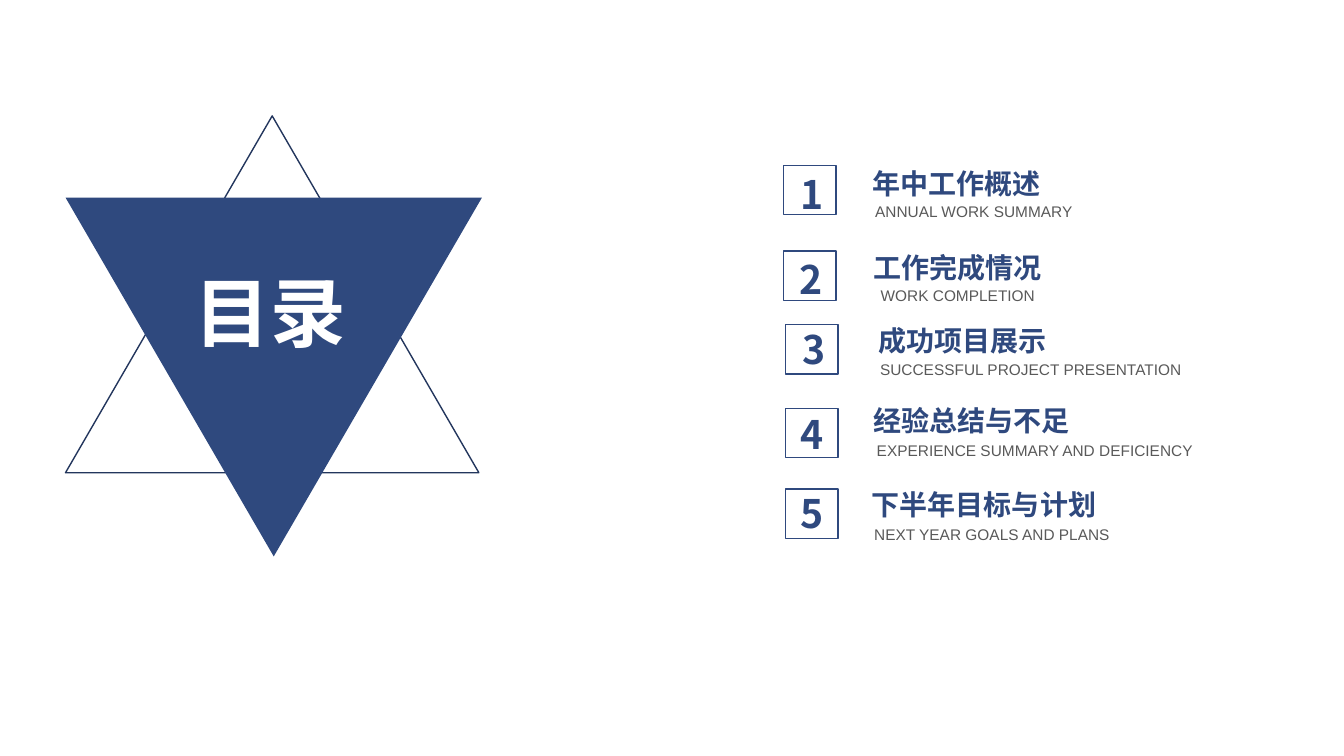
from lxml import etree
from pptx import Presentation
from pptx.dml.color import RGBColor
from pptx.enum import shapes, text
from pptx.oxml import ns
from pptx.util import Inches, Pt

COLORS = {"blue": "2F497E", "navy": "23365D", "grey": "595959", "white": "FFFFFF"}
CHINESE_FONT = "Noto Sans CJK SC"

# Each agenda entry: number box, number text, heading and subtitle,
# with positions as (left, top) or (left, top, width, height).
AGENDA = [
    ((7.77, 1.64), (7.84, 1.64),
     "年中工作概述", (8.29, 1.54, 2.4, 0.56),
     "ANNUAL WORK SUMMARY", (8.46, 1.82, 2.4, 0.56)),
    ((7.77, 2.49), (7.83, 2.48),
     "工作完成情况", (8.39, 2.37, 2.22, 0.56),
     "WORK COMPLETION", (8.39, 2.82, 2.22, 0.21)),
    ((7.79, 3.22), (7.86, 3.18),
     "成功项目展示", (8.55, 3.1, 2, 0.56),
     "SUCCESSFUL PROJECT PRESENTATION", (8.51, 3.38, 3.43, 0.56)),
    ((7.79, 4.05), (7.84, 4.02),
     "经验总结与不足", (8.51, 3.89, 2.25, 0.56),
     "EXPERIENCE SUMMARY AND DEFICIENCY", (8.55, 4.19, 3.43, 0.56)),
    ((7.79, 4.85), (7.84, 4.81),
     "下半年目标与计划", (8.51, 4.72, 2.5, 0.56),
     "NEXT YEAR GOALS AND PLANS", (8.49, 5.02, 2.7, 0.56)),
]


def color(name):
    return RGBColor.from_string(COLORS[name])


def write_text(shape, content, size, font=CHINESE_FONT, fill="blue", bold=True,
               centered=True, grow=False):
    frame = shape.text_frame
    frame.word_wrap = True
    frame.auto_size = (text.MSO_AUTO_SIZE.SHAPE_TO_FIT_TEXT if grow
                       else text.MSO_AUTO_SIZE.NONE)
    frame.vertical_anchor = text.MSO_ANCHOR.MIDDLE if centered else text.MSO_ANCHOR.TOP
    paragraph = frame.paragraphs[0]
    paragraph.alignment = text.PP_ALIGN.CENTER if centered else text.PP_ALIGN.LEFT
    run = paragraph.add_run()
    run.text = content
    run.font.size = Pt(size)
    run.font.bold = bold
    run.font.color.rgb = color(fill)
    run.font.name = font
    properties = run._r.get_or_add_rPr()
    etree.SubElement(properties, ns.qn("a:ea")).set("typeface", font)


def add_text(slide, content, box, size, **text_format):
    shape = slide.shapes.add_textbox(*map(Inches, box))
    write_text(shape, content, size, **text_format)


def add_figure(slide, kind, box, fill=None, line=None, rotation=0):
    shape = slide.shapes.add_shape(kind, *map(Inches, box))
    shape.shadow.inherit = False
    shape.rotation = rotation
    if fill:
        shape.fill.solid()
        shape.fill.fore_color.rgb = color(fill)
    else:
        shape.fill.background()
    if line:
        shape.line.color.rgb = color(line)
        shape.line.width = Pt(1)
    else:
        shape.line.fill.background()
    return shape


def add_title_star(slide):
    """Two opposed triangles with the slide title on the filled one."""
    triangle = shapes.MSO_SHAPE.ISOSCELES_TRIANGLE
    add_figure(slide, triangle, (0.65, 1.15, 4.1, 3.54), line="navy")
    front = add_figure(slide, triangle, (0.65, 1.96, 4.13, 3.56), fill="blue", rotation=180)
    title = slide.shapes.title
    title.left, title.top, title.width, title.height = map(Inches, (1.83, 2.59, 2.4, 1.01))
    write_text(title, "目录", 54, fill="white", centered=False, grow=True)
    front.element.addnext(title.element)


def add_agenda_entry(slide, number, square, digit, heading, heading_box, subtitle, subtitle_box):
    add_text(slide, heading, heading_box, 20)
    add_text(slide, subtitle, subtitle_box, 11, font="Arial", fill="grey", bold=False)
    add_figure(slide, shapes.MSO_SHAPE.RECTANGLE, (*square, 0.52, 0.49), line="blue")
    add_text(slide, str(number), (*digit, 0.37, 0.57), 28, centered=False, grow=True)


def main():
    presentation = Presentation()
    presentation.slide_width = Inches(13.33)
    presentation.slide_height = Inches(7.5)
    slide = presentation.slides.add_slide(presentation.slide_layouts.get_by_name("Title Only"))
    add_title_star(slide)
    for number, entry in enumerate(AGENDA, start=1):
        add_agenda_entry(slide, number, *entry)
    presentation.save("out.pptx")


if __name__ == "__main__":
    main()
